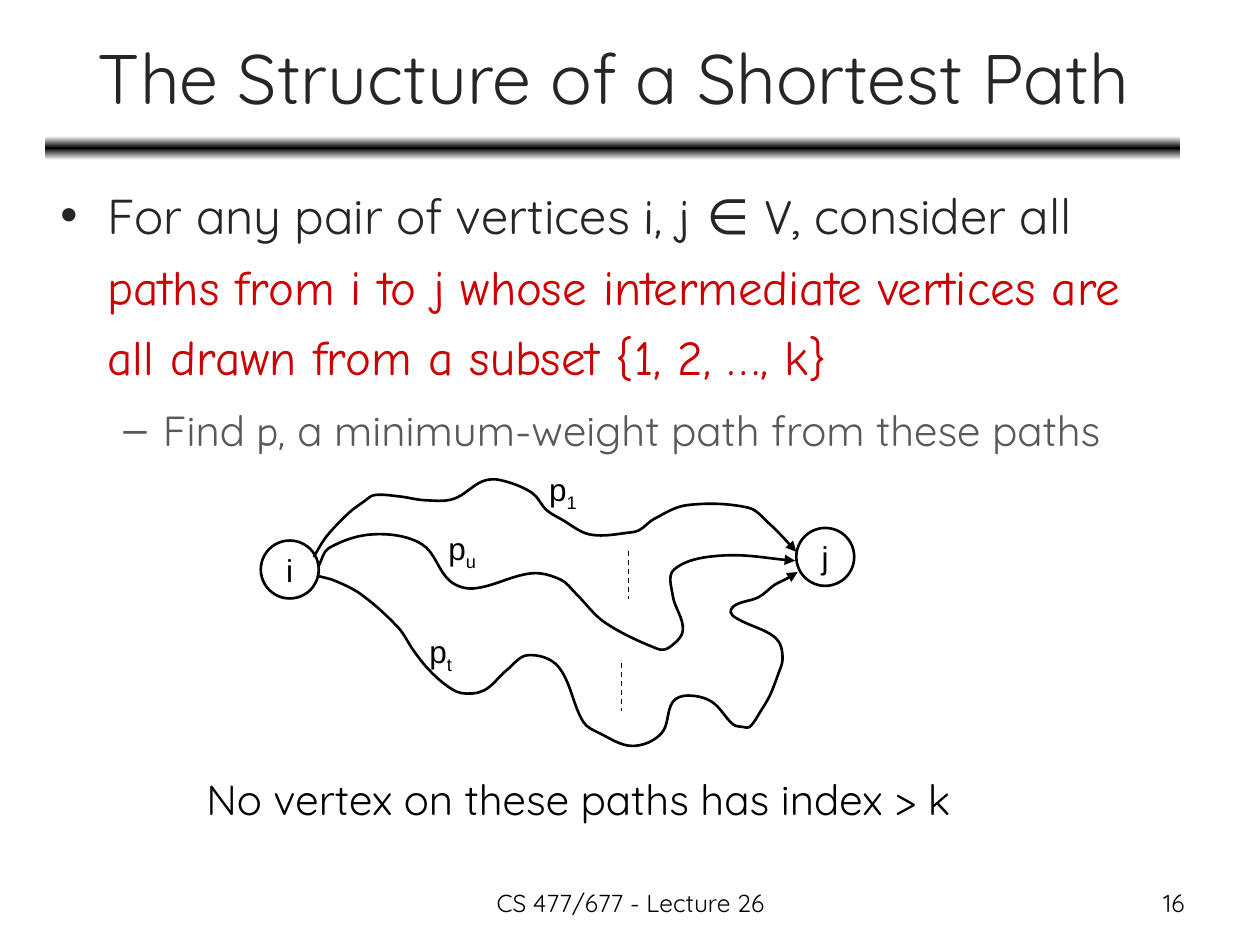
from copy import deepcopy
from dataclasses import dataclass
from math import dist

from lxml import etree
from pptx import Presentation
from pptx import util as u
from pptx.dml.color import RGBColor
from pptx.enum import dml, shapes, text
from pptx.oxml.ns import qn

COLORS = {"ink": "000000", "heading": "262626", "detail": "595959",
          "accent": "CC0000", "paper": "FFFFFF"}
PLAIN, HAND, LABEL = "Quicksand", "Comic Neue", "Arial"
LEFT, CENTER, RIGHT = text.PP_ALIGN.LEFT, text.PP_ALIGN.CENTER, text.PP_ALIGN.RIGHT


@dataclass
class Span:
    words: str
    size: float
    font: str = PLAIN
    color: str = "ink"
    subscript: bool = False


@dataclass
class Caption:
    box: tuple
    spans: list
    align: int = LEFT
    wrap: bool = False


@dataclass
class Vertex:
    name: str
    left: float
    top: float


def color(name: str) -> RGBColor:
    return RGBColor.from_string(COLORS[name])


def inches(values) -> list:
    return [u.Inches(value) for value in values]


def set_values(target, **values) -> None:
    for name, value in values.items():
        setattr(target, name, value)


def place(shape, box: tuple) -> None:
    set_values(shape, **dict(zip(("left", "top", "width", "height"), inches(box))))


def write(para, spans: list, **values) -> None:
    set_values(para, **values)
    for span in spans:
        run = para.add_run()
        run.text = span.words
        set_values(run.font, name=span.font, size=u.Pt(span.size))
        run.font.color.rgb = color(span.color)
        if span.subscript:
            run.font._element.set("baseline", "-25000")


def ink_line(shape, width: float = 1.5) -> None:
    shape.line.color.rgb = color("ink")
    shape.line.width = u.Pt(width)


def add_caption(page, caption: Caption) -> None:
    box = page.shapes.add_textbox(*inches(caption.box))
    fit = text.MSO_AUTO_SIZE.NONE if caption.wrap else text.MSO_AUTO_SIZE.SHAPE_TO_FIT_TEXT
    set_values(box.text_frame, word_wrap=caption.wrap, auto_size=fit)
    write(box.text_frame.paragraphs[0], caption.spans, alignment=caption.align)


def add_vertex(page, vertex: Vertex) -> None:
    circle = page.shapes.add_shape(
        shapes.MSO_SHAPE.OVAL, *inches((vertex.left, vertex.top, 0.46, 0.46)))
    circle.shadow.inherit = False
    circle.fill.background()
    ink_line(circle)
    set_values(circle.text_frame, word_wrap=False, vertical_anchor=text.MSO_ANCHOR.MIDDLE)
    write(circle.text_frame.paragraphs[0], [Span(vertex.name, 18, LABEL)], alignment=CENTER)


def add_dashes(page, x: float, top: float) -> None:
    dashes = page.shapes.add_connector(
        shapes.MSO_CONNECTOR.STRAIGHT, *inches((x, top, x, top + 0.38)))
    ink_line(dashes, 0.75)
    dashes.line.dash_style = dml.MSO_LINE.DASH
    etree.SubElement(dashes._element.spPr, qn("a:effectLst"))


def handle(points: list, index: int, other: int) -> tuple:
    """Bezier handle at one point, aimed along its neighbours towards another."""
    before, after = points[max(index - 1, 0)], points[min(index + 1, len(points) - 1)]
    reach = dist(points[index], points[other]) / 3 / dist(before, after) * (other - index)
    return tuple(round(p + (b - a) * reach) for p, a, b in zip(points[index], before, after))


def add_path(page, stops: list) -> None:
    points = [tuple(inches(stop)) for stop in stops]
    builder = page.shapes.build_freeform(*points[0], scale=1.0)
    builder.add_line_segments(points[1:], close=False)
    route = builder.convert_to_shape()
    route.shadow.inherit = False
    route.fill.background()
    ink_line(route)
    etree.SubElement(route.line._get_or_add_ln(), qn("a:tailEnd"), type="triangle")
    # Turn straight segments into smooth curves
    outline = next(route._element.iter(qn("a:path")))
    local = [(int(pt.get("x")), int(pt.get("y"))) for pt in outline.iter(qn("a:pt"))]
    for index, segment in enumerate(outline.findall(qn("a:lnTo"))):
        curve = etree.Element(qn("a:cubicBezTo"))
        for x, y in (handle(local, index, index + 1), handle(local, index + 1, index),
                     local[index + 1]):
            etree.SubElement(curve, qn("a:pt"), x=str(x), y=str(y))
        outline.replace(segment, curve)


def add_rule(page, box: tuple) -> None:
    rule = page.shapes.add_shape(shapes.MSO_SHAPE.ROUNDED_RECTANGLE, *inches(box))
    rule.shadow.inherit = False
    rule.line.fill.background()
    rule.fill.gradient()
    rule.fill.gradient_angle = 90
    stop_list = next(rule._element.iter(qn("a:gsLst")))
    stop_list.append(deepcopy(stop_list[-1]))
    for stop, position, name in zip(rule.fill.gradient_stops, (0, 0.5, 1),
                                    ("paper", "ink", "paper")):
        stop.color.rgb = color(name)
        stop.position = position


deck = Presentation()
set_values(deck, slide_width=u.Inches(10), slide_height=u.Inches(7.5))
page = deck.slides.add_slide(deck.slide_layouts[1])
title, body = page.placeholders

# Heading
add_rule(page, (0.36, 1.08, 9.01, 0.19))
place(title, (0.37, 0.11, 9, 0.99))
title.text_frame.vertical_anchor = text.MSO_ANCHOR.MIDDLE
write(title.text_frame.paragraphs[0],
      [Span("The Structure of a Shortest Path", 40, PLAIN, "heading")], alignment=CENTER)

# Bullets
place(body, (0.38, 1.33, 9, 2.68))
body.text_frame.auto_size = text.MSO_AUTO_SIZE.NONE
write(body.text_frame.paragraphs[0], [
    Span("For any pair of vertices ", 28, PLAIN, "heading"),
    Span("i, j ∈ V", 28, HAND, "heading"),
    Span(", consider all ", 28, PLAIN, "heading"),
    Span("paths from i to j whose intermediate vertices are all drawn from "
         "a subset {1, 2, …, k}", 28, HAND, "accent"),
], line_spacing=1.2, space_before=u.Pt(5.6))
write(body.text_frame.add_paragraph(), [
    Span("Find ", 24, PLAIN, "detail"),
    Span("p,", 24, HAND, "detail"),
    Span(" a minimum-weight path from these paths", 24, PLAIN, "detail"),
], level=1, line_spacing=1.2, space_before=u.Pt(4.8))

# Graph
for vertex in (Vertex("i", 2.07, 4.29), Vertex("j", 6.32, 4.19)):
    add_vertex(page, vertex)
PATHS = {
    "u": [(2.53, 4.49), (2.61, 4.35), (2.97, 4.24), (3.35, 4.32), (3.57, 4.61), (3.76, 4.67),
          (4.22, 4.55), (4.45, 4.6), (4.57, 4.71), (4.8, 4.94), (5.22, 5.15), (5.31, 5.14),
          (5.42, 5), (5.34, 4.73), (5.35, 4.52), (5.72, 4.41), (6.31, 4.45)],
    "1": [(2.49, 4.42), (2.59, 4.26), (2.77, 4.07), (2.89, 3.98), (2.97, 3.93), (3.17, 3.94),
          (3.37, 3.97), (3.6, 3.96), (3.83, 3.82), (3.97, 3.81), (4.22, 3.91), (4.34, 4.05),
          (4.47, 4.13), (4.64, 4.23), (4.77, 4.25), (4.97, 4.23), (5.07, 4.21), (5.19, 4.12),
          (5.45, 4.01), (5.94, 4.03), (6.11, 4.16), (6.22, 4.27), (6.32, 4.38)],
    "t": [(2.52, 4.57), (2.66, 4.61), (2.87, 4.72), (3.16, 4.98), (3.28, 5.16), (3.39, 5.3),
          (3.53, 5.43), (3.66, 5.5), (3.84, 5.48), (4.02, 5.32), (4.19, 5.2), (4.43, 5.29),
          (4.63, 5.73), (4.76, 5.82), (5.02, 5.92), (5.25, 5.82), (5.34, 5.57), (5.46, 5.52),
          (5.65, 5.57), (5.82, 5.75), (5.9, 5.77), (5.95, 5.77), (6.04, 5.64), (6.11, 5.52),
          (6.18, 5.34), (6.21, 5.24), (6.19, 5.11), (6.11, 5.03), (5.87, 4.92), (5.8, 4.86),
          (5.84, 4.8), (6.02, 4.74), (6.15, 4.64), (6.23, 4.6), (6.33, 4.54)],
}
for stops in PATHS.values():
    add_path(page, stops)
for x, top in ((4.99, 4.37), (4.93, 5.26)):
    add_dashes(page, x, top)

# Path labels, conclusion and footer
for index, left, top, width in (("1", 4.26, 3.68, 0.43), ("u", 3.46, 4.15, 0.43),
                                ("t", 3.31, 4.97, 0.39)):
    add_caption(page, Caption((left, top, width, 0.4), [
        Span("p", 18, LABEL), Span(index, 18, LABEL, subscript=True)]))
for caption in (
    Caption((1.54, 6.09, 6.46, 0.5), [Span("No vertex on these paths has index > k", 24)]),
    Caption((3.42, 7, 3.17, 0.35), [Span("CS 477/677 - Lecture 26", 14)], CENTER, True),
    Caption((7.17, 7, 2.33, 0.35), [Span("16", 14)], RIGHT, True),
):
    add_caption(page, caption)

deck.save("out.pptx")
